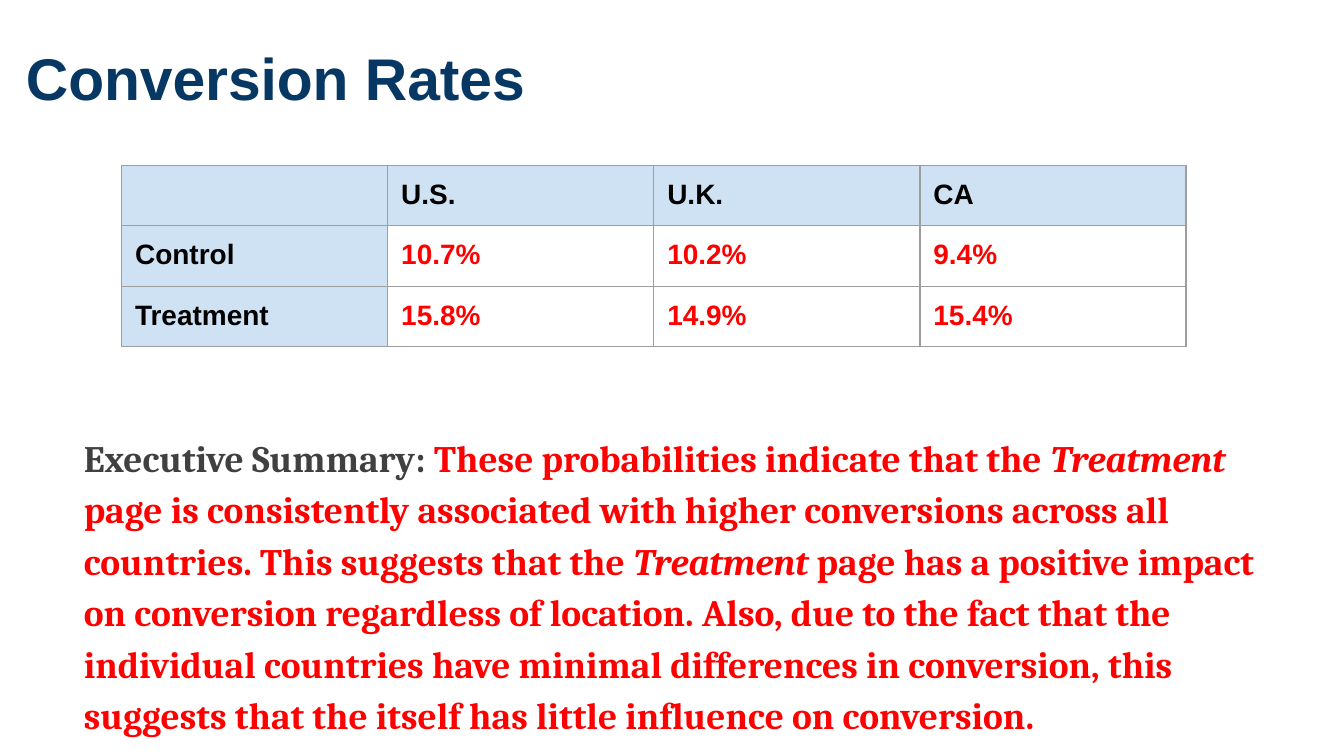
"""Build the conversion rates slide with its table and executive summary."""
from dataclasses import dataclass

from lxml.etree import SubElement
from pptx import Presentation
from pptx.dml.color import RGBColor
from pptx.enum.text import MSO_AUTO_SIZE
from pptx.oxml.ns import qn
from pptx.slide import Slide
from pptx.table import _Cell
from pptx.text.text import _Paragraph
from pptx.util import Pt

PX = 4572
SLIDE_WIDTH, SLIDE_HEIGHT = 2000, 1125
MARGIN = 20
COLUMN_WIDTH = 396
ROW_HEIGHT = 84
TABLE_HEIGHT = 270
COLORS = {
    "navy": "073763",
    "header": "CFE2F3",
    "body": "FFFFFF",
    "border": "9E9E9E",
    "label": "000000",
    "heading": "404040",
    "finding": "FF0000",
}
FORMATS = {
    "title": {"name": "Arial", "size": Pt(31.5), "bold": True},
    "cell": {"name": "Arial", "size": Pt(15), "bold": True},
    "summary": {"name": "Cambria", "size": Pt(20), "bold": True},
}
RATES = [
    ["", "U.S.", "U.K.", "CA"],
    ["Control", "10.7%", "10.2%", "9.4%"],
    ["Treatment", "15.8%", "14.9%", "15.4%"],
]


@dataclass(frozen=True)
class Span:
    text: str
    color: str
    italic: bool = False


@dataclass(frozen=True)
class TextBlock:
    left: int
    top: int
    width: int
    height: int
    style: str
    spans: tuple[Span, ...]
    line_spacing: float = 1.0


TITLE = TextBlock(19, 42, 2000, 146, "title", (Span("Conversion Rates", "navy"),))
SUMMARY = TextBlock(105, 617, 1796, 504, "summary", (
    Span("Executive Summary: ", "heading"),
    Span("These probabilities indicate that the ", "finding"),
    Span("Treatment", "finding", True),
    Span(" page is consistently associated with higher conversions across all "
         "countries. This suggests that the ", "finding"),
    Span("Treatment", "finding", True),
    Span(" page has a positive impact on conversion regardless of location. "
         "Also, due to the fact that the individual countries have minimal "
         "differences in conversion, this suggests that the itself has little "
         "influence on conversion.", "finding"),
), 1.15)


def color(name: str) -> RGBColor:
    return RGBColor.from_string(COLORS[name])


def set_margins(target: object) -> None:
    for side in ("left", "top", "right", "bottom"):
        setattr(target, f"margin_{side}", MARGIN * PX)


def add_span(para: _Paragraph, span: Span, style: str) -> None:
    run = para.add_run()
    run.text = span.text
    for name, value in FORMATS[style].items():
        setattr(run.font, name, value)
    run.font.italic = span.italic
    run.font.color.rgb = color(span.color)


def add_text(page: Slide, block: TextBlock) -> None:
    box = page.shapes.add_textbox(
        block.left * PX, block.top * PX, block.width * PX, block.height * PX)
    frame = box.text_frame
    frame.word_wrap = True
    frame.auto_size = MSO_AUTO_SIZE.SHAPE_TO_FIT_TEXT
    set_margins(frame)
    para = frame.paragraphs[0]
    para.line_spacing = block.line_spacing
    for span in block.spans:
        add_span(para, span, block.style)


def add_borders(cell: _Cell) -> None:
    properties = cell._tc.get_or_add_tcPr()
    for side in ("lnL", "lnR", "lnT", "lnB"):
        line = SubElement(properties, qn(f"a:{side}"), w=str(Pt(0.75)))
        fill = SubElement(line, qn("a:solidFill"))
        SubElement(fill, qn("a:srgbClr"), val=COLORS["border"])


def fill_cell(cell: _Cell, text: str, is_header: bool) -> None:
    set_margins(cell)
    add_borders(cell)
    cell.fill.solid()
    cell.fill.fore_color.rgb = color("header" if is_header else "body")
    para = cell.text_frame.paragraphs[0]
    if text:
        add_span(para, Span(text, "label" if is_header else "finding"), "cell")
    else:
        para._p.get_or_add_endParaRPr().set("sz", "1500")


def add_rates(page: Slide, left: int, top: int) -> None:
    rows, columns = len(RATES), len(RATES[0])
    holder = page.shapes.add_table(
        rows, columns, left * PX, top * PX,
        columns * COLUMN_WIDTH * PX, rows * ROW_HEIGHT * PX)
    holder.height = TABLE_HEIGHT * PX
    for row, values in enumerate(RATES):
        for column, text in enumerate(values):
            fill_cell(holder.table.cell(row, column), text, row == 0 or column == 0)


def main() -> None:
    deck = Presentation()
    deck.slide_width, deck.slide_height = SLIDE_WIDTH * PX, SLIDE_HEIGHT * PX
    page = deck.slides.add_slide(deck.slide_layouts[6])
    add_text(page, TITLE)
    add_rates(page, 181, 246)
    add_text(page, SUMMARY)
    deck.save("out.pptx")


if __name__ == "__main__":
    main()
